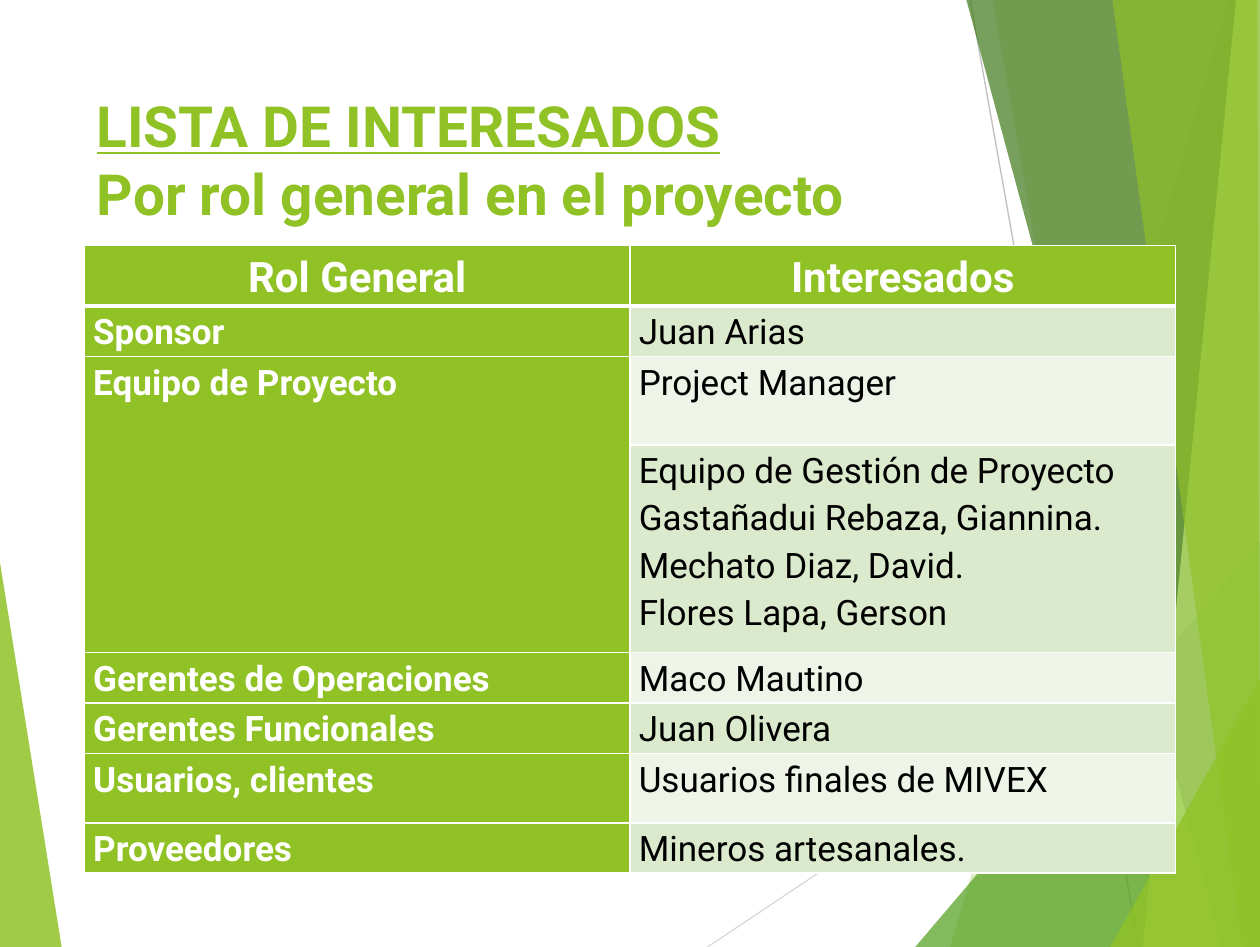
"""Build the stakeholder list slide with its green faceted backdrop."""
from lxml import etree
from pptx import Presentation
from pptx.dml.color import RGBColor
from pptx.enum.shapes import MSO_CONNECTOR as Connector
from pptx.enum.text import MSO_ANCHOR as Anchor, PP_ALIGN as Align
from pptx.oxml.ns import qn
from pptx.util import Inches, Pt

GREEN, WHITE, BLACK = "90C226", "FFFFFF", "000000"


def paint(color_format, color):
    color_format.rgb = RGBColor.from_string(color)


def add_text(paragraph, text, size, color, bold):
    run = paragraph.add_run()
    run.text = text
    run.font.name, run.font.size, run.font.bold = "Roboto", Pt(size), bold
    paint(run.font.color, color)
    return run


deck = Presentation()
deck.slide_width, deck.slide_height = Inches(10), Inches(7 + 33 / 64)
slide = deck.slides.add_slide(deck.slide_layouts[6])
shapes = slide.shapes

facets = [
    (GREEN, 85, [(-0.01, 4.4), (0.49, 7.52), (-0.01, 7.52)]),
    (GREEN, 30, [(9.75, 0), (7.54, 7.52), (10.01, 7.52), (10.01, 0)]),
    (GREEN, 20, [(7.88, 0), (9.19, 7.52), (10.01, 7.52), (10.01, 0)]),
    ("54A021", 72, [(7.26, 7.52), (10, 4.3), (10.01, 7.52)]),
    ("3F7819", 70, [(7.67, 0), (9.7, 7.52), (10.01, 7.52), (10.01, 0)]),
    ("C0E474", 70, [(9.81, 0), (9.07, 7.52), (10.01, 7.52), (10, 0)]),
    (GREEN, 65, [(8.83, 0), (9.86, 7.52), (10, 7.52), (9.98, 0)]),
    (GREEN, 80, [(8.81, 7.52), (10.01, 5.37), (10.01, 7.52)]),
]
rays = [("D9D9D9", (5.61, 7.52, 10.01, 4.58)), ("BFBFBF", (7.7, 0, 9.04, 7.52))]

for color, ends in rays:
    ray = shapes.add_connector(Connector.STRAIGHT, *map(Inches, ends))
    ray.line.width = Pt(0.75)
    paint(ray.line.color, color)
    etree.SubElement(ray._element.spPr, qn("a:effectLst"))

for color, opacity, corners in facets:
    points = [(Inches(x), Inches(y)) for x, y in corners]
    outline = shapes.build_freeform(*points[0])
    outline.add_line_segments(points[1:])
    facet = outline.convert_to_shape()
    facet.shadow.inherit = False
    facet.line.fill.background()
    facet.fill.solid()
    paint(facet.fill.fore_color, color)
    srgb = facet._element.spPr.find(qn("a:solidFill")).find(qn("a:srgbClr"))
    etree.SubElement(srgb, qn("a:alpha"), val=str(opacity * 1000))

title = shapes.add_textbox(Inches(0.67), Inches(0.67), Inches(6.94), Inches(1.45))
title.text_frame.word_wrap = True
title.text_frame.vertical_anchor = Anchor.TOP
heading = title.text_frame.paragraphs[0]
add_text(heading, "LISTA DE INTERESADOS", 32.4, GREEN, True).font.underline = True
heading.add_line_break()
add_text(heading, "Por rol general en el proyecto", 32.4, GREEN, True)

stakeholders = [
    (0.48, "Rol General", ["Interesados"]),
    (0.4, "Sponsor", ["Juan Arias"]),
    (0.7, "Equipo de Proyecto", ["Project Manager"]),
    (1.65, "", ["Equipo de Gestión de Proyecto", "Gastañadui Rebaza, Giannina.",
                "Mechato Diaz, David.", "Flores Lapa, Gerson"]),
    (0.4, "Gerentes de Operaciones", ["Maco Mautino"]),
    (0.4, "Gerentes Funcionales", ["Juan Olivera"]),
    (0.55, "Usuarios, clientes", ["Usuarios finales de MIVEX"]),
    (0.4, "Proveedores", ["Mineros artesanales."]),
]
table = shapes.add_table(len(stakeholders), 2, Inches(0.67), Inches(1.95),
                         Inches(8.66), Inches(4.97)).table
for column in table.columns:
    column.width = Inches(4.33)

for row, (height, role, people) in enumerate(stakeholders):
    table.rows[row].height = Inches(height)
    header = row == 0
    for col, lines in enumerate([[role], people]):
        cell = table.cell(row, col)
        strong = header or col == 0
        band = "DBE9CD" if row % 2 else "EEF4E8"
        cell.fill.solid()
        paint(cell.fill.fore_color, GREEN if strong else band)
        cell.margin_left = cell.margin_right = Inches(0.07)
        cell.margin_top = cell.margin_bottom = 0
        for index, line in enumerate(filter(None, lines)):
            frame = cell.text_frame
            paragraph = frame.add_paragraph() if index else frame.paragraphs[0]
            paragraph.alignment = Align.CENTER if header else Align.LEFT
            paragraph.line_spacing = 1.15
            add_text(paragraph, line, 24 if header else 20,
                     WHITE if strong else BLACK, strong)
        for place, side in enumerate(["lnL", "lnR", "lnT", "lnB"]):
            thick = (row, side) in [(0, "lnB"), (1, "lnT")]
            border = etree.Element(qn(f"a:{side}"), w=str(Pt(3 if thick else 1)))
            fill = etree.SubElement(border, qn("a:solidFill"))
            etree.SubElement(fill, qn("a:srgbClr"), val=WHITE)
            cell._tc.tcPr.insert(place, border)

table.cell(2, 0).merge(table.cell(3, 0))

deck.save("out.pptx")
